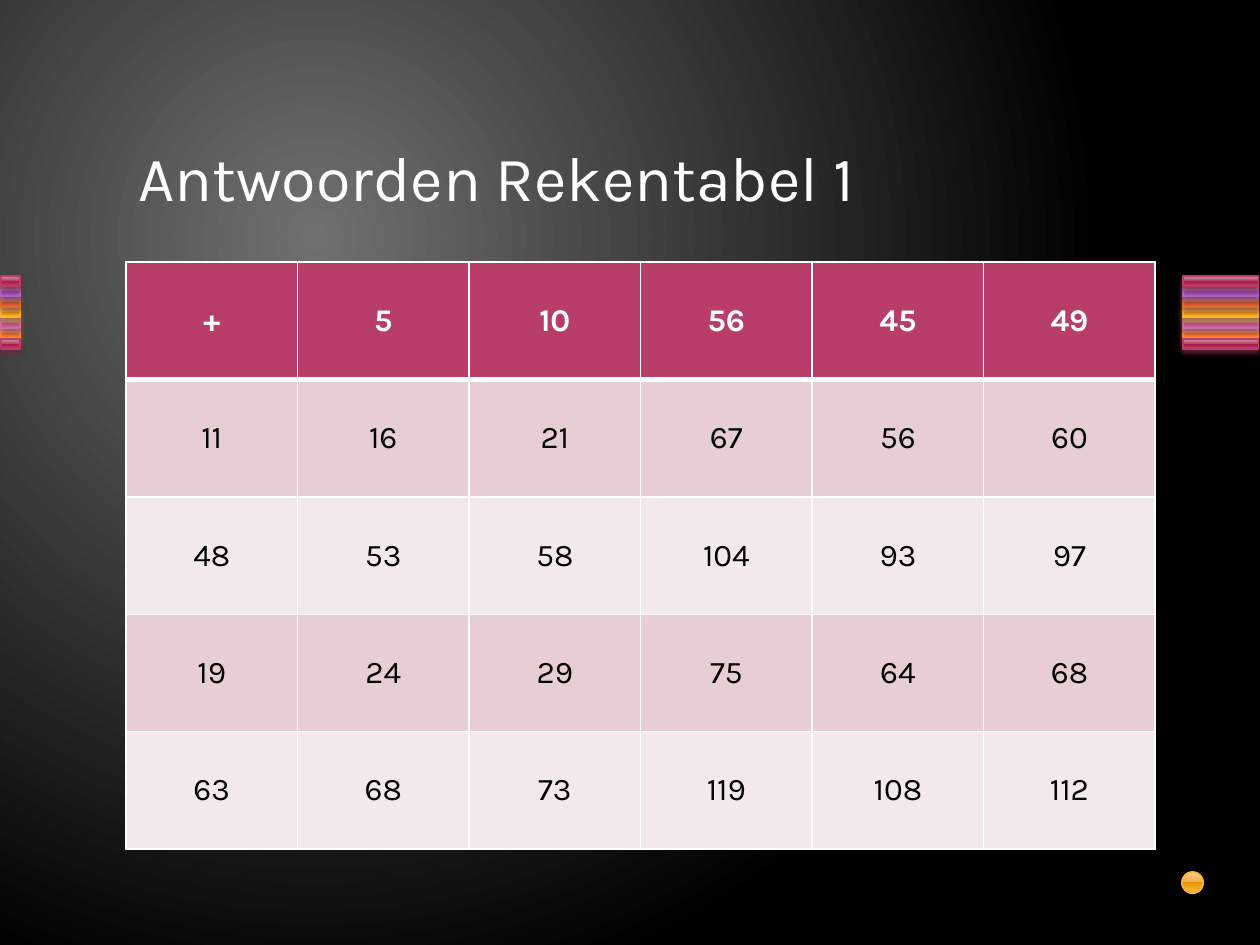
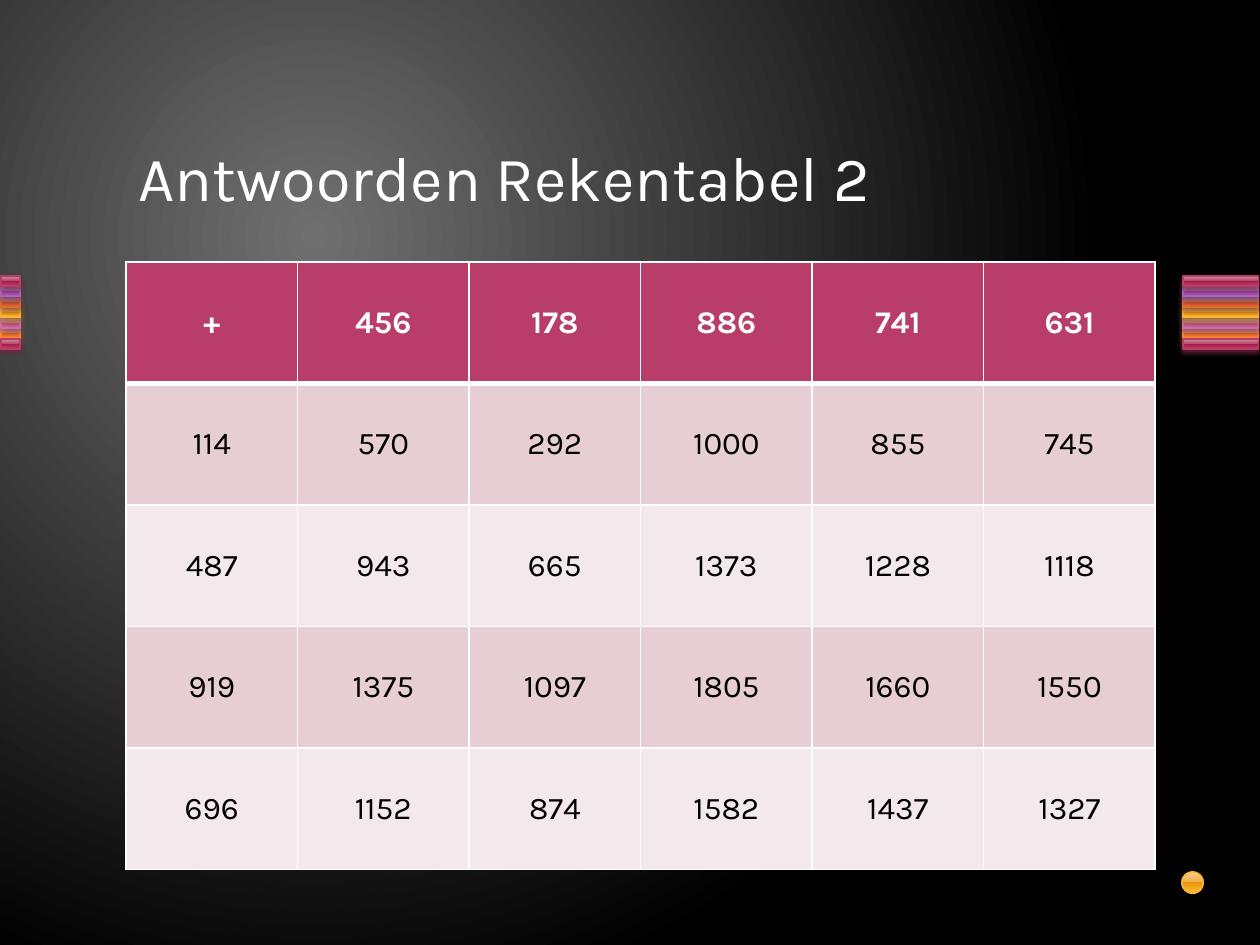
"""Builds two slides with the answers to addition tables."""
from dataclasses import dataclass

from lxml import etree
from pptx import Presentation
from pptx.dml.color import RGBColor
from pptx.enum.shapes import MSO_SHAPE
from pptx.enum.text import MSO_ANCHOR, PP_ALIGN
from pptx.oxml.ns import qn
from pptx.util import Inches, Pt

RECT, OVAL = MSO_SHAPE.RECTANGLE, MSO_SHAPE.OVAL
MIDDLE, BOTTOM = MSO_ANCHOR.MIDDLE, MSO_ANCHOR.BOTTOM
CENTER, LEFT = PP_ALIGN.CENTER, PP_ALIGN.LEFT
BLANK = 6


@dataclass(frozen=True)
class Gloss:
    """Colours of one glossy shape."""
    line: str
    shadow: str
    stops: tuple


@dataclass(frozen=True)
class Theme:
    """Colours and type sizes of the deck."""
    font: str = "Karla"
    title_size: int = 36
    cell_size: int = 18
    white: str = "FFFFFF"
    black: str = "000000"
    header: str = "B83D68"
    bands: tuple = ("E6CED4", "F3E8EB")
    backdrop: tuple = ((0, "707070"), (100, "000000"))
    gloss_positions: tuple = (0, 49, 49, 92, 100)
    gloss_line: float = 0.9
    grid_line: float = 1
    header_line: float = 3


THEME = Theme()
BERRY = Gloss("B83D68", "722640", ("CE94A2", "B34869", "A61749", "C13764", "CA5D7C"))
PURPLE = Gloss("AC66BB", "6A3F73", ("C6A2D0", "A666B4", "8F3EA1", "AD5DBF", "BA76CA"))
RUST = Gloss("DE6C36", "894321", ("E7A493", "D66B42", "CC4809", "E9642C", "F07B55"))
YELLOW = Gloss("F9B639", "9A7023", ("FBCC93", "EFAE43", "E59807", "FFB432", "FFBE5F"))
PINK = Gloss("CF6DA4", "804365", ("DDA4C1", "C66B9D", "B34181", "D361A0", "DC79AE"))
AMBER = Gloss("FA8D3D", "9A5726", ("FBB494", "F08745", "E5670B", "FF8736", "FF9961"))

STRIPES = (BERRY, PURPLE, RUST, YELLOW, PINK, AMBER, BERRY)
STACK_ORDER = (5, 4, 3, 2, 1, 0, 6)
STRIPE_TOP, STRIPE_HEIGHT, STRIPE_PITCH = 2.19, 0.08, 0.5 / 6
STRIPE_BLOCKS = ((0.01, 0.15), (9.39, 0.6))

TABLES = (
    ("Antwoorden Rekentabel 1", 4.66, (5, 10, 56, 45, 49), (11, 48, 19, 63)),
    ("Antwoorden Rekentabel 2", 4.82, (456, 178, 886, 741, 631), (114, 487, 919, 696)),
)


def add_node(parent, tag, **attrs):
    """Append a DrawingML element with attributes."""
    return etree.SubElement(parent, qn(tag), {k: str(v) for k, v in attrs.items()})


def set_gradient(fill, root, stops):
    """Give a fill a gradient and return its emptied shade element's parent."""
    fill.gradient()
    grad = root.find(".//" + qn("a:gradFill"))
    for child in list(grad):
        grad.remove(child)
    stop_list = add_node(grad, "a:gsLst")
    for position, color in stops:
        stop = add_node(stop_list, "a:gs", pos=position * 1000)
        add_node(stop, "a:srgbClr", val=color)
    return grad


def set_backdrop(master):
    """Set the round glow behind every slide."""
    grad = set_gradient(master.background.fill, master._element, THEME.backdrop)
    shade = add_node(grad, "a:path", path="circle")
    add_node(shade, "a:fillToRect", l=50000, t=50000, r=100000, b=100000)


def add_glossy(shapes, kind, left, top, width, height, gloss):
    """Add a shape with a glossy vertical gradient."""
    sp = shapes.add_shape(kind, Inches(left), Inches(top), Inches(width), Inches(height))
    stops = zip(THEME.gloss_positions, gloss.stops)
    grad = set_gradient(sp.fill, sp._element.spPr, stops)
    add_node(grad, "a:lin", ang=5400000, scaled=0)
    sp.line.color.rgb = RGBColor.from_string(gloss.line)
    sp.line.width = Pt(THEME.gloss_line)
    sp.shadow.inherit = False
    return sp


def add_shadow(sp, color):
    """Add a soft shadow below a shape."""
    effects = sp._element.spPr.find(qn("a:effectLst"))
    shadow = add_node(effects, "a:outerShdw", blurRad=Pt(3.1), dist=Pt(2),
                      dir=5400000, rotWithShape=0)
    add_node(add_node(shadow, "a:srgbClr", val=color), "a:alpha", val=83000)


def add_stripes(slide, left, width):
    """Add one group of coloured stripes."""
    group = slide.shapes.add_group_shape()
    for i in STACK_ORDER:
        top = STRIPE_TOP + i * STRIPE_PITCH
        sp = add_glossy(group.shapes, RECT, left, top, width, STRIPE_HEIGHT, STRIPES[i])
        add_shadow(sp, STRIPES[i].shadow)


def add_decor(slide):
    """Add the edge stripes and the corner dot."""
    for left, width in STRIPE_BLOCKS:
        add_stripes(slide, left, width)
    add_glossy(slide.shapes, OVAL, 9.38, 6.92, 0.17, 0.17, YELLOW)


def write(tf, text, size, color, align, bold=False):
    """Write one run into the first paragraph of a text frame."""
    p = tf.paragraphs[0]
    p.alignment = align
    r = p.add_run()
    r.text = text
    r.font.name = THEME.font
    r.font.size = Pt(size)
    r.font.bold = bold
    r.font.color.rgb = RGBColor.from_string(color)


def set_borders(cell, top, bottom):
    """Draw the four white borders of a cell."""
    tc_pr = cell._tc.get_or_add_tcPr()
    side = THEME.grid_line
    for tag, width in (("a:lnL", side), ("a:lnR", side), ("a:lnT", top), ("a:lnB", bottom)):
        line = add_node(tc_pr, tag, w=Pt(width))
        add_node(add_node(line, "a:solidFill"), "a:srgbClr", val=THEME.white)


def fill_cell(cell, text, row):
    """Style and fill one table cell by its row."""
    is_header = row == 0
    set_borders(cell,
                THEME.header_line if row == 1 else THEME.grid_line,
                THEME.header_line if is_header else THEME.grid_line)
    cell.fill.solid()
    color = THEME.header if is_header else THEME.bands[(row - 1) % 2]
    cell.fill.fore_color.rgb = RGBColor.from_string(color)
    cell.vertical_anchor = MIDDLE
    write(cell.text_frame, text, THEME.cell_size,
          THEME.white if is_header else THEME.black, CENTER, is_header)


def add_sum_table(slide, height, across, down):
    """Add a table that adds each row number to each column number."""
    rows = [["+", *across]] + [[n, *(n + m for m in across)] for n in down]
    frame = slide.shapes.add_table(len(rows), len(rows[0]), Inches(1), Inches(2.08),
                                   Inches(8.17), Inches(height))
    table = frame.table
    table.horz_banding = False
    for i, values in enumerate(rows):
        for j, value in enumerate(values):
            fill_cell(table.cell(i, j), str(value), i)


def add_title(slide, text):
    """Add the slide title."""
    sp = slide.shapes.add_textbox(Inches(1), Inches(0.5), Inches(8.42), Inches(1.25))
    tf = sp.text_frame
    tf.word_wrap = True
    tf.vertical_anchor = BOTTOM
    write(tf, text, THEME.title_size, THEME.white, LEFT)


def main():
    """Build and save the presentation."""
    prs = Presentation()
    prs.slide_width, prs.slide_height = Inches(10), Inches(7.5)
    set_backdrop(prs.slide_master)
    for title, height, across, down in TABLES:
        slide = prs.slides.add_slide(prs.slide_layouts[BLANK])
        add_decor(slide)
        add_sum_table(slide, height, across, down)
        add_title(slide, title)
    prs.save("out.pptx")


main()
